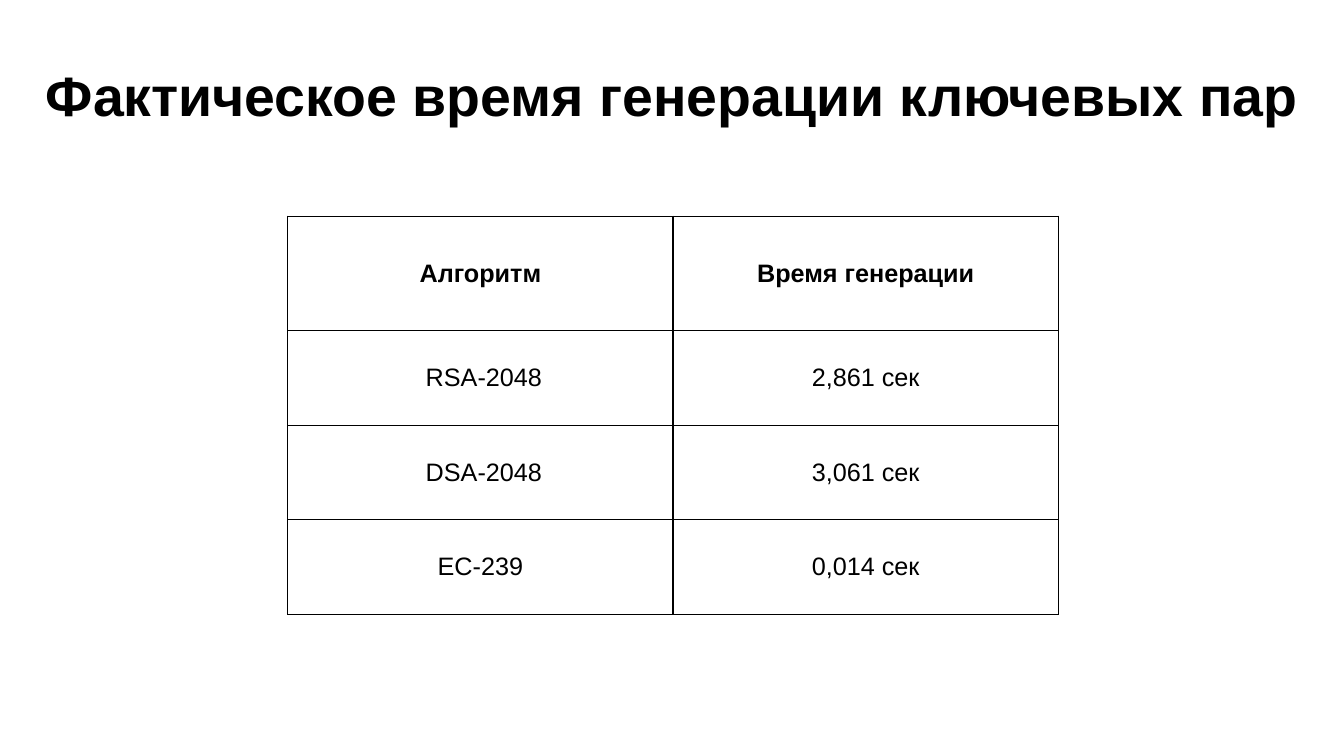
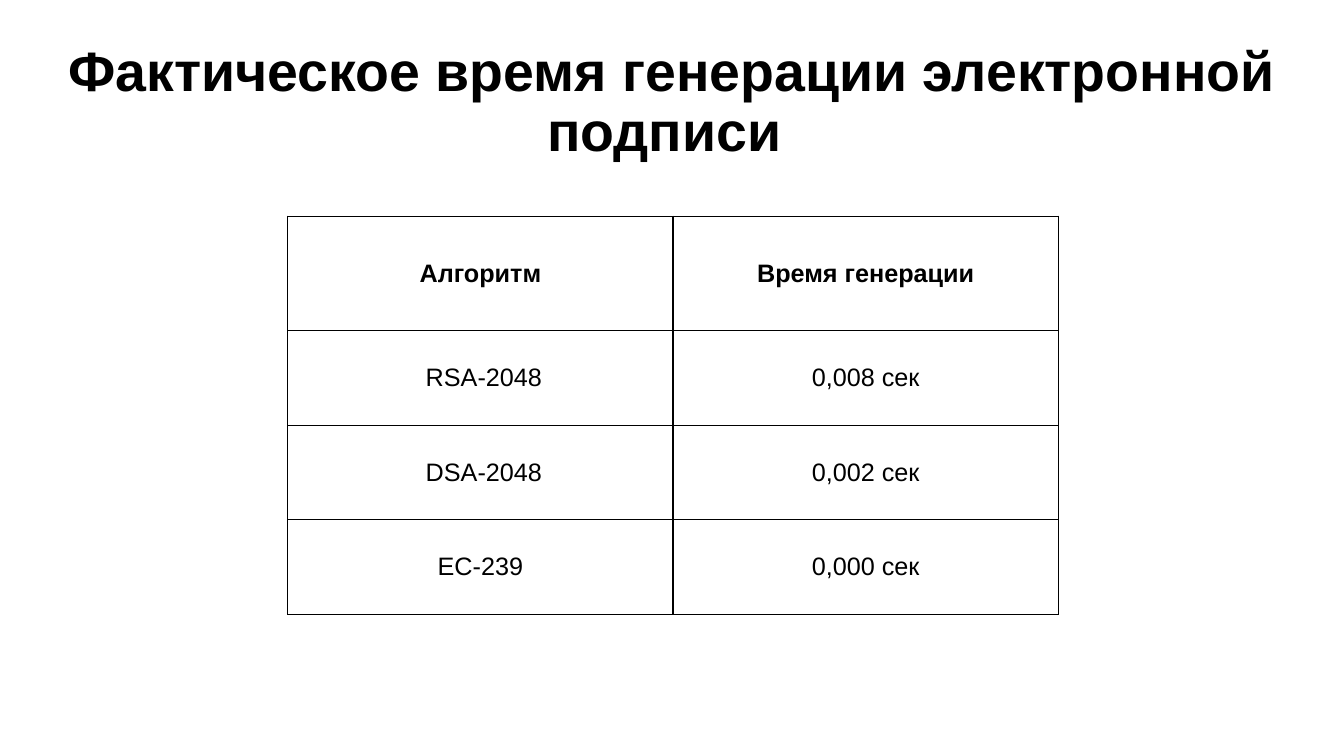
from lxml.etree import SubElement
from pptx import Presentation
from pptx.dml.color import RGBColor
from pptx.enum.text import MSO_ANCHOR as Anchor, PP_ALIGN as Align
from pptx.oxml.ns import qn
from pptx.util import Pt

PX = 9525  # EMU per px, 96 px to the inch
BLACK = RGBColor(0x00, 0x00, 0x00)
FONT = "Arial"
SLIDE_WIDTH, SLIDE_HEIGHT = 1280, 720
TABLE_LEFT, TABLE_TOP = 274, 206
COLUMN_WIDTH = 367
ROW_HEIGHTS = [109, 90, 90, 90]
HEADER = ("Алгоритм", "Время генерации")
ALGORITHMS = (" RSA-2048", " DSA-2048", "EC-239")

# Title, title top, title height, times per algorithm
SLIDES = [
    ("Фактическое время генерации ключевых пар", 60, 68,
     ("2,861 сек", "3,061 сек", "0,014 сек")),
    ("Фактическое время генерации электронной подписи ", 34, 130,
     ("0,008 сек", "0,002 сек", "0,000 сек")),
]


def write(text_frame, text, size, bold):
    paragraph = text_frame.paragraphs[0]
    paragraph.text = text
    paragraph.alignment = Align.CENTER
    font = paragraph.font
    font.name, font.size, font.bold = FONT, Pt(size), bold
    font.color.rgb = BLACK
    return paragraph


def add_borders(cell):
    properties = cell._tc.get_or_add_tcPr()
    for side in ("lnL", "lnR", "lnT", "lnB"):
        line = SubElement(properties, qn(f"a:{side}"), w=str(Pt(1)))
        fill = SubElement(line, qn("a:solidFill"))
        SubElement(fill, qn("a:srgbClr"), val=str(BLACK))


presentation = Presentation()
presentation.slide_width = SLIDE_WIDTH * PX
presentation.slide_height = SLIDE_HEIGHT * PX

for title, title_top, title_height, times in SLIDES:
    slide = presentation.slides.add_slide(presentation.slide_layouts[6])

    # Title
    title_box = slide.shapes.add_textbox(
        0, title_top * PX, SLIDE_WIDTH * PX, title_height * PX)
    text_frame = title_box.text_frame
    text_frame.word_wrap = True
    text_frame.vertical_anchor = Anchor.MIDDLE
    write(text_frame, title, 39.6, True).line_spacing = 0.9

    # Table of generation times
    rows = [HEADER, *zip(ALGORITHMS, times)]
    table = slide.shapes.add_table(
        len(rows), len(HEADER), TABLE_LEFT * PX, TABLE_TOP * PX,
        len(HEADER) * COLUMN_WIDTH * PX, sum(ROW_HEIGHTS) * PX).table
    table.horz_banding = False
    for column in table.columns:
        column.width = COLUMN_WIDTH * PX
    for row_index, row in enumerate(rows):
        table.rows[row_index].height = ROW_HEIGHTS[row_index] * PX
        for column_index, text in enumerate(row):
            cell = table.cell(row_index, column_index)
            cell.vertical_anchor = Anchor.MIDDLE
            add_borders(cell)
            cell.fill.background()
            write(cell.text_frame, text, 18, row_index == 0)

presentation.save("out.pptx")
